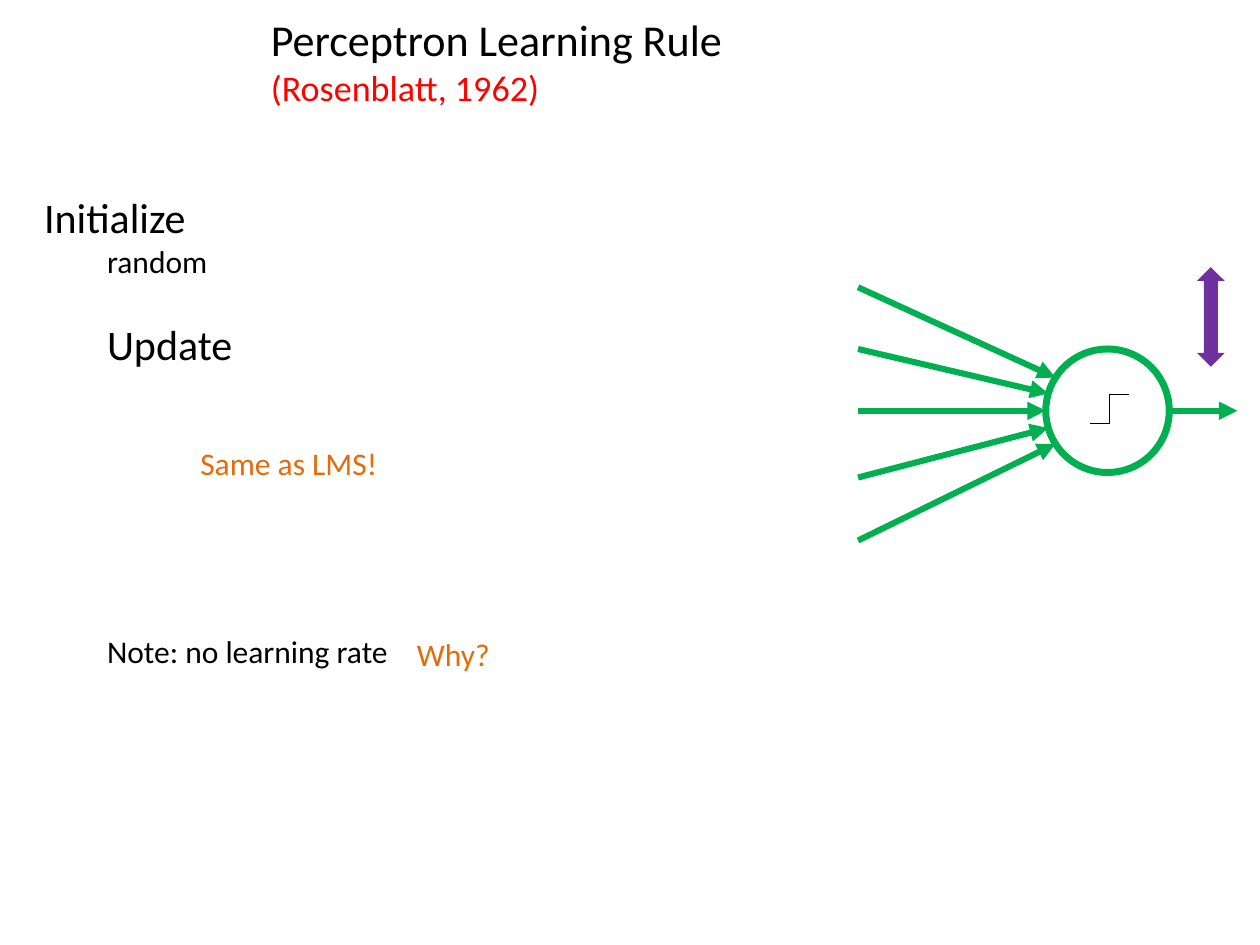
from math import cos, radians, sin

from lxml import etree
from pptx import Presentation
from pptx.dml.color import RGBColor
from pptx.enum import shapes, text
from pptx.oxml.ns import qn
from pptx.util import Inches, Pt

COLORS = {"black": "000000", "red": "FF0000", "orange": "E46C0A",
          "green": "00B050", "purple": "7030A0", "white": "FFFFFF"}

# Each line: wording, size, colour, indent (inches), space before (points)
TITLE = [("Perceptron Learning Rule", 25.2, "black", 0, 0),
         ("(Rosenblatt, 1962)", 20.6, "red", 0, 0)]
STEPS = [("Initialize", 24, "black", 0, 0),
         ("random", 18, "black", 0.5, 0),
         ("Update", 24, "black", 0.5, 22),
         ("Same as LMS!", 18, "orange", 1.24, 43),
         ("Note: no learning rate", 18, "black", 0.5, 86)]
ASIDE = [("Why?", 18, "orange", 0, 0)]
BOXES = [(TITLE, (2.15, 0.1, 7.5, 0.76)),
         (STEPS, (0.35, 1.52, 9.3, 5.64)),
         (ASIDE, (3.31, 5.04, 0.8, 0.31))]

# Neuron: centre and radius; the inputs meet its rim at equal angles
MID_X, MID_Y, RADIUS = 8.79, 3.26, 0.49
INPUT_X, INPUT_YS, ANGLE = 6.81, (2.28, 2.77, 3.26, 3.79, 4.29), 16.25
OUTPUT_X = 9.82


def color(name):
    return RGBColor.from_string(COLORS[name])


def add_text(slide, lines, place):
    frame = slide.shapes.add_textbox(*map(Inches, place)).text_frame
    layout = {"word_wrap": True, "vertical_anchor": text.MSO_ANCHOR.TOP,
              "margin_left": 0, "margin_right": 0,
              "margin_top": 0, "margin_bottom": 0}
    for key, value in layout.items():
        setattr(frame, key, value)
    for i, (words, size, tint, indent, gap) in enumerate(lines):
        para = frame.add_paragraph() if i else frame.paragraphs[0]
        para.space_before = Pt(gap)
        para._p.get_or_add_pPr().set("marL", str(Inches(indent)))
        run = para.add_run()
        run.text = words
        for key, value in {"name": "Calibri", "size": Pt(size)}.items():
            setattr(run.font, key, value)
        run.font.color.rgb = color(tint)


def add_shape(slide, kind, place, fill, line=None, width=0):
    shape = slide.shapes.add_shape(kind, *map(Inches, place))
    shape.shadow.inherit = False
    shape.fill.solid()
    shape.fill.fore_color.rgb = color(fill)
    if line:
        shape.line.color.rgb = color(line)
        shape.line.width = Pt(width)
    else:
        shape.line.fill.background()


def add_line(slide, kind, start, end, tint, width, head=False):
    wire = slide.shapes.add_connector(kind, *map(Inches, start + end))
    wire.line.color.rgb = color(tint)
    wire.line.width = Pt(width)
    if head:
        etree.SubElement(wire.line._get_or_add_ln(), qn("a:tailEnd"),
                         type="triangle")
    etree.SubElement(wire._element.spPr, qn("a:effectLst"))


def add_neuron(slide):
    kinds = shapes.MSO_CONNECTOR
    add_shape(slide, shapes.MSO_SHAPE.OVAL,
              (MID_X - RADIUS, MID_Y - RADIUS, 2 * RADIUS, 2 * RADIUS),
              "white", "green", 4)
    for i, y in enumerate(INPUT_YS):
        turn = radians(ANGLE * (i - len(INPUT_YS) // 2))
        tip = (MID_X - RADIUS * cos(turn), MID_Y + RADIUS * sin(turn))
        add_line(slide, kinds.STRAIGHT, (INPUT_X, y), tip, "green", 3.5, True)
    add_line(slide, kinds.STRAIGHT, (MID_X + RADIUS, MID_Y),
             (OUTPUT_X, MID_Y), "green", 3.5, True)
    add_shape(slide, shapes.MSO_SHAPE.UP_DOWN_ARROW,
              (9.5, 2.12, 0.22, 0.79), "purple")
    add_line(slide, kinds.ELBOW, (8.65, 3.36), (8.96, 3.13), "black", 0.75)


def main():
    deck = Presentation()
    deck.slide_width, deck.slide_height = Inches(10), Inches(7.5)
    slide = deck.slides.add_slide(deck.slide_layouts[6])
    for lines, place in BOXES:
        add_text(slide, lines, place)
    add_neuron(slide)
    deck.save("out.pptx")


if __name__ == "__main__":
    main()
